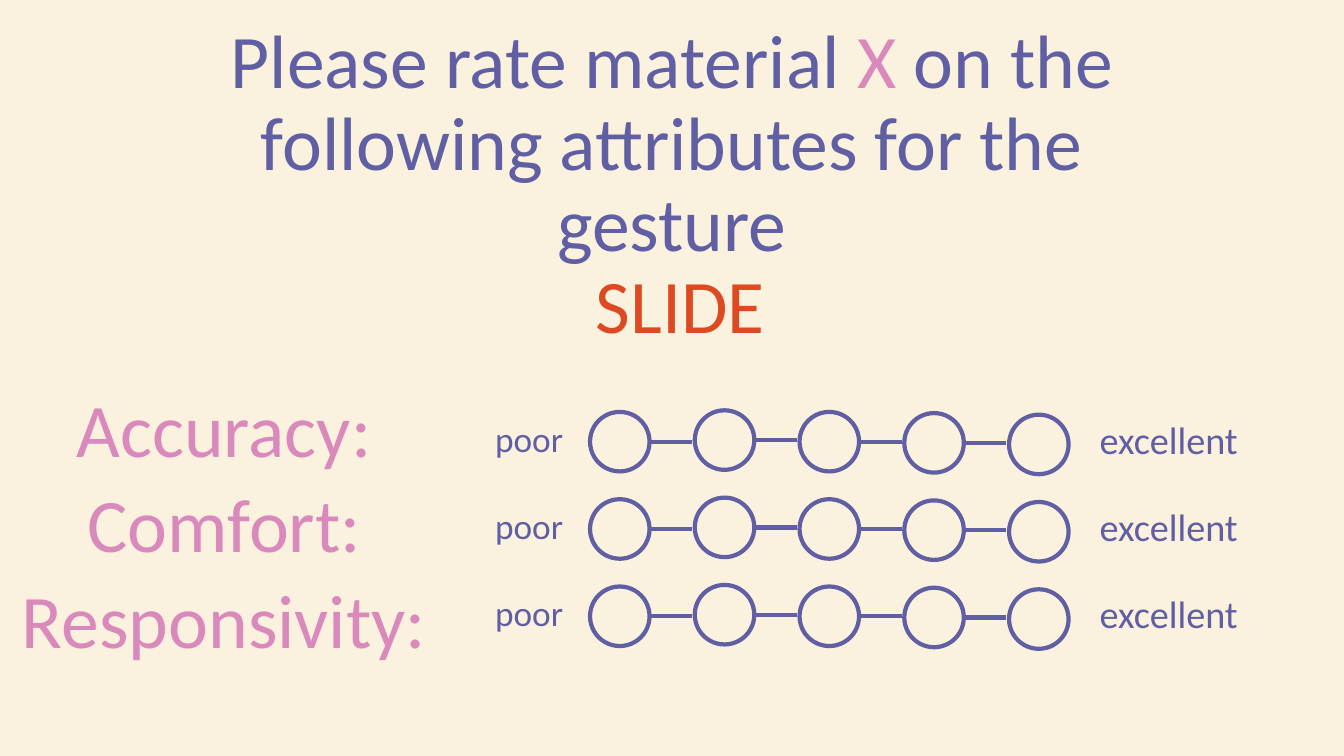
import pptx
import pptx.util
import pptx.dml.color
import pptx.enum.shapes
import pptx.enum.text
import pptx.oxml.ns
import lxml.etree

Cm, Pt = pptx.util.Cm, pptx.util.Pt
COLOURS = {"cream": "FAF1DE", "violet": "605FA4", "pink": "D989BC", "orange": "DD4921"}
ATTRIBUTES = ["Accuracy:", "Comfort:", "Responsivity:"]
CIRCLE_DROPS = [0.04, 0, 0.04, 0.07, 0.11]


def colour(name):
    """Return the named colour."""
    return pptx.dml.color.RGBColor.from_string(COLOURS[name])


def outline(part):
    """Give a circle or link its violet line."""
    part.line.color.rgb = colour("violet")
    part.line.width = Pt(3)


def add_run(paragraph, wording, size, hue):
    """Add one styled run to a paragraph."""
    run = paragraph.add_run()
    run.text = wording
    run.font.name = "Calibri"
    run.font.size = Pt(size)
    run.font.color.rgb = colour(hue)


def add_frame(slide, box, anchor):
    """Add a wrapping text box and return its text frame."""
    frame = slide.shapes.add_textbox(*map(Cm, box)).text_frame
    frame.word_wrap = True
    frame.vertical_anchor = anchor
    return frame


def style_paragraph(paragraph, spacing, before=0):
    """Centre a paragraph and set its spacing."""
    paragraph.alignment = pptx.enum.text.PP_ALIGN.CENTER
    paragraph.line_spacing = spacing
    paragraph.space_before = Pt(before)


def add_question(slide, box):
    """Write the question at the bottom of its box."""
    question = add_frame(slide, box, pptx.enum.text.MSO_ANCHOR.BOTTOM).paragraphs[0]
    style_paragraph(question, 0.9)
    add_run(question, "Please rate material ", 54, "violet")
    add_run(question, "X", 54, "pink")
    add_run(question, " on the following attributes for the gesture", 54, "violet")
    question.add_line_break()
    add_run(question, " ", 54, "violet")
    add_run(question, "SLIDE", 54, "orange")


def add_attributes(slide, box):
    """List the rated attributes."""
    frame = add_frame(slide, box, pptx.enum.text.MSO_ANCHOR.TOP)
    for index, attribute in enumerate(ATTRIBUTES):
        paragraph = frame.add_paragraph() if index else frame.paragraphs[0]
        style_paragraph(paragraph, 0.9, 10)
        add_run(paragraph, attribute, 54, "pink")


def add_end_label(slide, box, wording, size, spacing):
    """Name one end of a rating scale."""
    label = add_frame(slide, box, pptx.enum.text.MSO_ANCHOR.BOTTOM).paragraphs[0]
    style_paragraph(label, spacing)
    add_run(label, wording, size, "violet")


def add_scale(slide, box):
    """Draw five linked circles between their end labels."""
    left, top, width, diameter = box
    step, gap = 2.64, 0.07
    for index, drop in enumerate(CIRCLE_DROPS):
        x, y = left + 3.16 + index * step, top + drop
        circle = slide.shapes.add_shape(
            pptx.enum.shapes.MSO_SHAPE.OVAL, Cm(x), Cm(y), Cm(diameter), Cm(diameter))
        circle.shadow.inherit = False
        circle.fill.background()
        outline(circle)
        if index < len(CIRCLE_DROPS) - 1:
            middle = Cm(y + diameter / 2)
            link = slide.shapes.add_connector(
                pptx.enum.shapes.MSO_CONNECTOR.STRAIGHT,
                Cm(x + diameter), middle, Cm(x + step - gap), middle)
            outline(link)
            lxml.etree.SubElement(
                link.element.spPr, pptx.oxml.ns.qn("a:effectLst"))
    add_end_label(slide, (left, top + 0.26, 3.25, 1.07), "poor", 25.2, 0.7)
    add_end_label(slide, (left + width - 4.09, top + 0.23, 4.09, 1.19),
                  "excellent", 27.3, 0.8)


def build():
    """Build and save the rating slide."""
    deck = pptx.Presentation()
    deck.slide_width, deck.slide_height = Cm(33.87), Cm(19.05)
    slide = deck.slides.add_slide(deck.slide_layouts[6])
    slide.background.fill.solid()
    slide.background.fill.fore_color.rgb = colour("cream")
    add_question(slide, (4.23, 1.32, 25.4, 7.62))
    add_attributes(slide, (0, 9.75, 11.3, 8.03))
    for row in range(len(ATTRIBUTES)):
        add_scale(slide, (11.71, 10.34 + row * 2.2, 19.79, 1.5))
    deck.save("out.pptx")


build()
